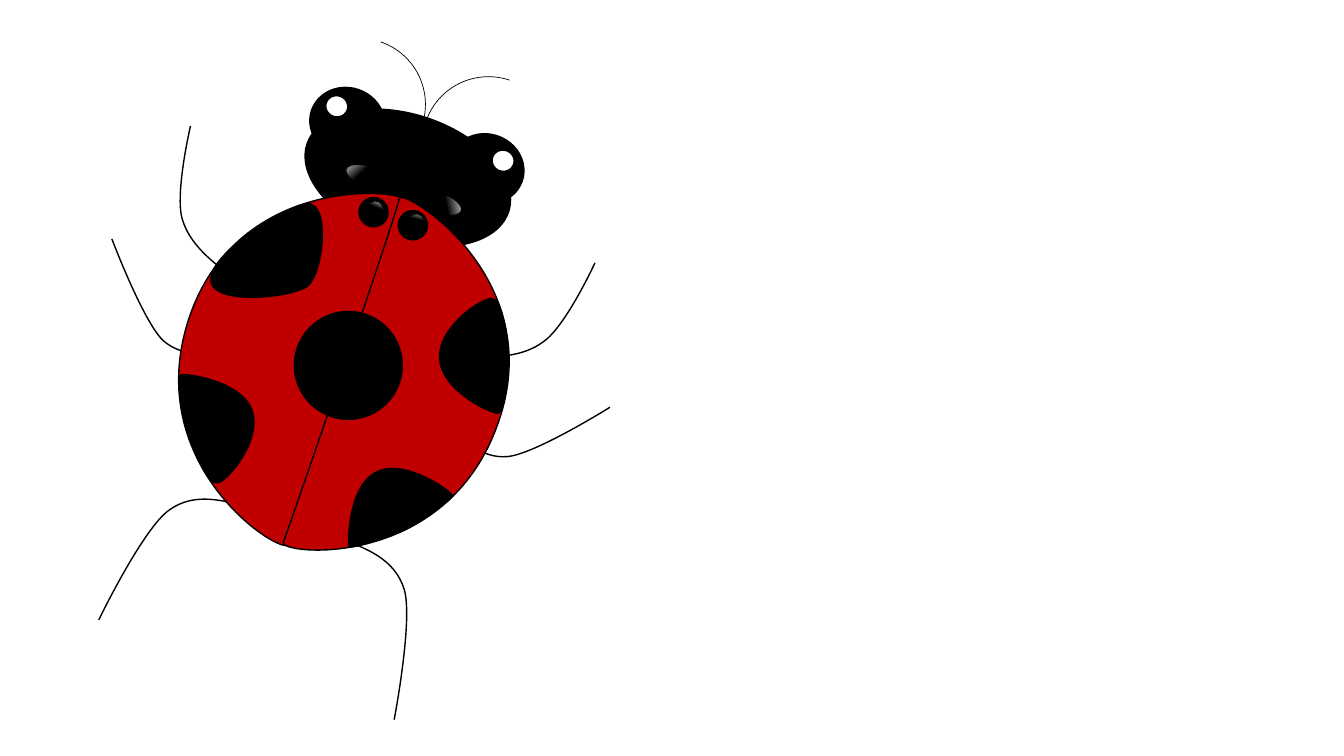
import dataclasses

import lxml.etree
import pptx
import pptx.dml.color
import pptx.enum.shapes
import pptx.oxml.ns
import pptx.util

CM_PER_INCH = 2.54
TILT = 18.7
SHAPES = pptx.enum.shapes.MSO_SHAPE


@dataclasses.dataclass(frozen=True)
class Theme:
    """Colours and line widths of the ladybird."""
    black: str = "000000"
    white: str = "FFFFFF"
    red: str = "C00000"
    outline: float = 1
    feeler: float = 0.5
    shine_angle: int = 210
    shine_end: float = 0.38


def length(inches):
    """Turn a drawing measure into a slide length."""
    return pptx.util.Cm(inches * CM_PER_INCH)


class Drawing:
    """Draws styled shapes into one group on the current slide."""

    def __init__(self, slide, theme):
        self.theme = theme
        self.group = slide.shapes.add_group_shape()

    def finish(self, shape, fill, width):
        """Set fill and outline and drop the shadow."""
        shape.shadow.inherit = False
        if fill is None:
            shape.fill.background()
        elif fill == "shine":
            self.shine(shape)
        else:
            shape.fill.solid()
            shape.fill.fore_color.rgb = pptx.dml.color.RGBColor.from_string(fill)
        shape.line.color.rgb = pptx.dml.color.RGBColor.from_string(self.theme.black)
        shape.line.width = pptx.util.Pt(width)

    def shine(self, shape):
        """Fade the fill from white to black."""
        shape.fill.gradient()
        shape.fill.gradient_angle = self.theme.shine_angle
        stops = ((0, self.theme.white), (self.theme.shine_end, self.theme.black))
        for stop, (position, color) in zip(shape.fill.gradient_stops, stops):
            stop.position = position
            stop.color.rgb = pptx.dml.color.RGBColor.from_string(color)

    def preset(self, kind, box, fill, rotation=TILT, flip=False, width=None):
        """Add a rotated preset shape."""
        shape = self.group.shapes.add_shape(kind, *map(length, box))
        shape.rotation = rotation
        if flip:
            shape.element.spPr.find(pptx.oxml.ns.qn("a:xfrm")).set("flipH", "1")
        self.finish(shape, fill, width or self.theme.outline)

    def ellipse(self, box, fill, rotation=TILT, flip=False):
        """Add a rotated ellipse."""
        self.preset(SHAPES.OVAL, box, fill, rotation, flip)

    def feeler(self, box, rotation, flip=False):
        """Add a thin arc."""
        self.preset(SHAPES.ARC, box, None, rotation, flip, self.theme.feeler)

    def curve(self, points, fill=None):
        """Add a Bézier outline, closed when it has a fill."""
        start, *rest = [(length(x), length(y)) for x, y in points]
        builder = self.group.shapes.build_freeform(*start)
        builder.add_line_segments(rest, close=fill is not None)
        shape = builder.convert_to_shape()
        segments = list(shape.element.iter(pptx.oxml.ns.qn("a:lnTo")))
        for first in range(0, len(segments), 3):
            bezier = lxml.etree.Element(pptx.oxml.ns.qn("a:cubicBezTo"))
            segments[first].addprevious(bezier)
            for segment in segments[first:first + 3]:
                bezier.append(segment[0])
                segment.getparent().remove(segment)
        self.finish(shape, fill, self.theme.outline)


LEGS = (
    ((2.51, 5.05), (2.22, 4.96), (1.93, 4.88), (1.68, 5.06), (1.42, 5.24), (0.98, 6.15), (0.98, 6.15)),
    ((4.41, 4.15), (4.58, 4.35), (4.76, 4.55), (5.03, 4.53), (5.3, 4.51), (6.05, 4.04), (6.05, 4.04)),
    ((3.36, 5.34), (3.64, 5.44), (3.92, 5.55), (4.01, 5.85), (4.1, 6.15), (3.91, 7.14), (3.91, 7.14)),
    ((2.35, 3.46), (2.09, 3.51), (1.83, 3.56), (1.62, 3.38), (1.42, 3.19), (1.11, 2.37), (1.11, 2.37)),
    ((2.36, 2.79), (2.12, 2.61), (1.89, 2.44), (1.81, 2.18), (1.73, 1.93), (1.89, 1.25), (1.89, 1.25)),
    ((4.59, 3.54), (4.88, 3.55), (5.18, 3.55), (5.39, 3.39), (5.61, 3.24), (5.9, 2.61), (5.9, 2.61)),
)
WINGS = (
    ((1.87, 3.17), (2.36, 1.68), (4.07, 1.89), (4.01, 1.99), (3.95, 2.08), (2.89, 5.27), (2.86, 5.4),
     (2.82, 5.53), (1.39, 4.65), (1.87, 3.17)),
    ((4.94, 4.2), (5.46, 2.73), (3.97, 1.85), (3.96, 1.97), (3.95, 2.08), (2.86, 5.26), (2.81, 5.38),
     (2.75, 5.5), (4.42, 5.68), (4.94, 4.2)),
)
LOWER_RIGHT_SPOT = (
    (3.74, 4.68), (4.02, 4.54), (4.5, 4.89), (4.49, 4.92), (4.48, 4.95), (4.2, 5.16), (4.03, 5.25),
    (3.86, 5.33), (3.48, 5.45), (3.46, 5.42), (3.45, 5.39), (3.45, 4.81), (3.74, 4.68))
SIDE_SPOTS = (
    ((2.5, 4.07), (2.6, 4.37), (2.27, 4.75), (2.17, 4.79), (2.06, 4.83), (1.93, 4.48), (1.86, 4.3),
     (1.8, 4.12), (1.75, 3.73), (1.79, 3.72), (1.82, 3.7), (2.39, 3.77), (2.5, 4.07)),
    ((4.36, 3.56), (4.34, 3.25), (4.76, 2.97), (4.87, 2.96), (4.98, 2.95), (5.03, 3.32), (5.04, 3.51),
     (5.05, 3.7), (5.01, 4.09), (4.94, 4.1), (4.88, 4.11), (4.38, 3.88), (4.36, 3.56)),
    ((3.05, 2.84), (2.89, 2.96), (2.06, 3.04), (2.09, 2.76), (2.12, 2.49), (2.83, 2.04), (3.05, 2.02),
     (3.28, 2.01), (3.21, 2.71), (3.05, 2.84)),
)
HEAD = (2.99, 1.14, 2.11, 1.25)
CENTRE_SPOT = (2.92, 3.09, 1.07, 1.07)
EYES = ((4.45, 1.33, 0.75, 0.69), (3.07, 0.87, 0.75, 0.69))
PUPILS = ((4.88, 1.49, 0.22, 0.21), (3.23, 0.95, 0.22, 0.21))
LEFT_NOSTRIL = (3.56, 1.96, 0.29, 0.29)
RIGHT_NOSTRIL = (3.95, 2.09, 0.29, 0.29)


def main():
    """Build the ladybird slide."""
    deck = pptx.Presentation()
    deck.slide_width, deck.slide_height = length(13.33), length(7.5)
    theme = Theme()
    ladybird = Drawing(deck.slides.add_slide(deck.slide_layouts[6]), theme)

    for leg in LEGS:
        ladybird.curve(leg)
    ladybird.feeler((4.19, 0.76, 1.31, 1.31), 288.7)
    ladybird.feeler((2.91, 0.38, 1.31, 1.31), 108.7, flip=True)
    ladybird.ellipse(HEAD, theme.black)
    for wing in WINGS:
        ladybird.curve(wing, theme.red)
    for box in (CENTRE_SPOT, *EYES, LEFT_NOSTRIL):
        ladybird.ellipse(box, theme.black)
    ladybird.curve(LOWER_RIGHT_SPOT, theme.black)
    ladybird.ellipse((4.11, 1.91, 0.48, 0.21), "shine")
    ladybird.ellipse((3.42, 1.65, 0.48, 0.21), "shine", flip=True)
    for pupil in PUPILS:
        ladybird.ellipse(pupil, theme.white)
    for spot in SIDE_SPOTS:
        ladybird.curve(spot, theme.black)
    ladybird.ellipse(RIGHT_NOSTRIL, theme.black)
    ladybird.ellipse((4.01, 2.13, 0.21, 0.17), "shine", 313.9)
    ladybird.ellipse((3.62, 2.01, 0.21, 0.17), "shine", 83.4, flip=True)
    deck.save("out.pptx")


if __name__ == "__main__":
    main()
